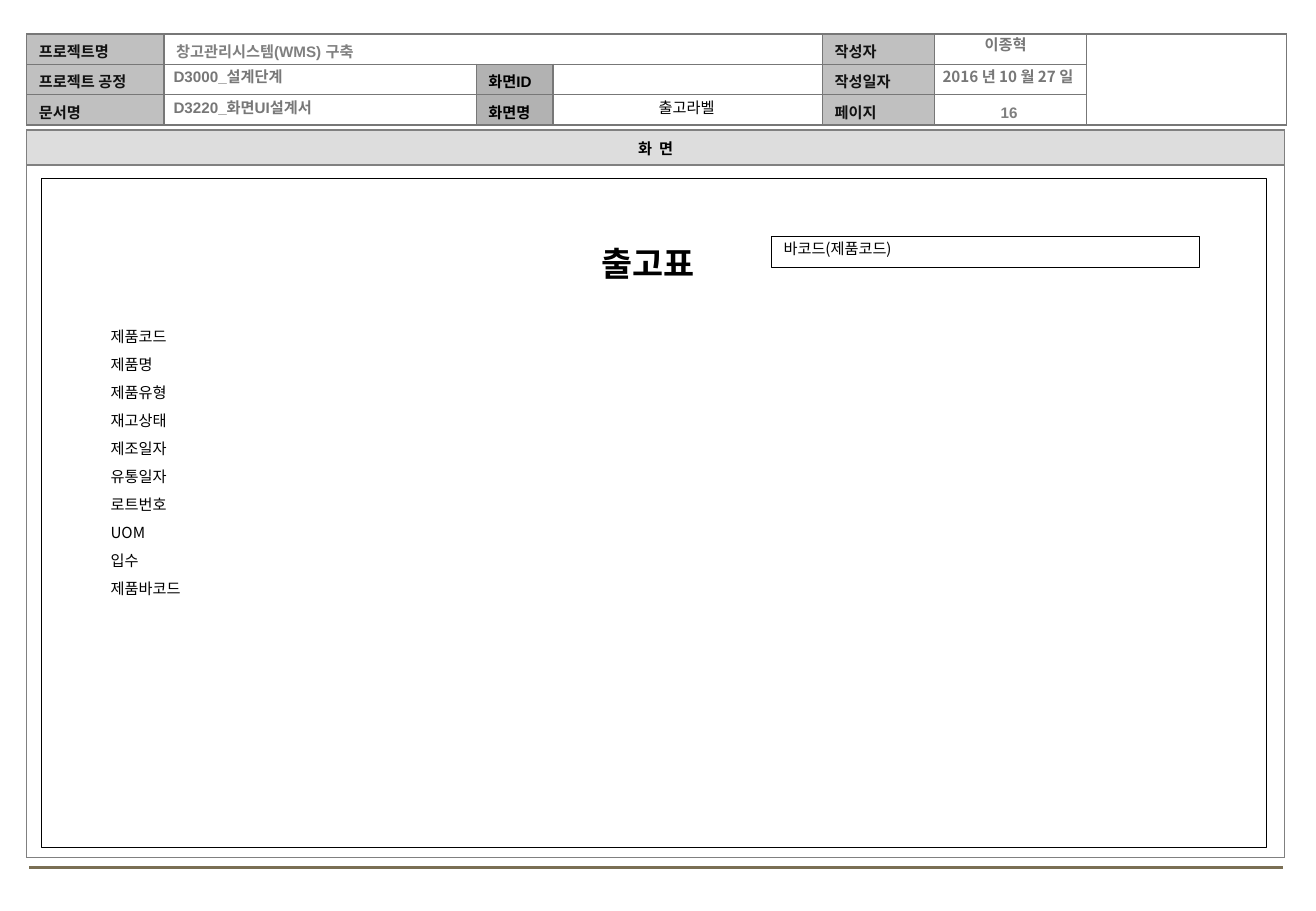
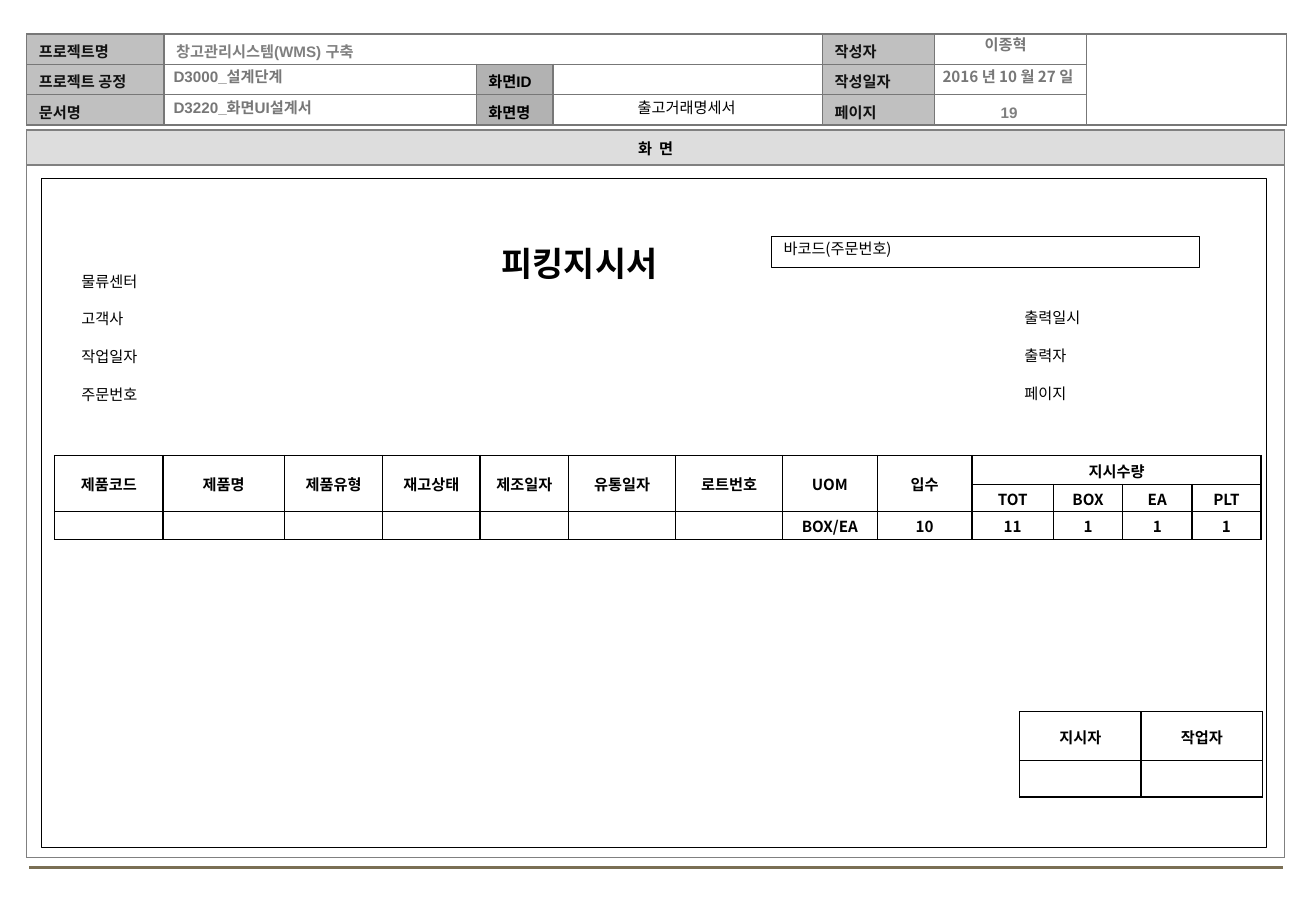
from dataclasses import dataclass

from lxml.etree import SubElement
from pptx import Presentation
from pptx.dml.color import RGBColor
from pptx.enum.shapes import MSO_CONNECTOR, MSO_SHAPE
from pptx.enum.text import MSO_ANCHOR, MSO_AUTO_SIZE, PP_ALIGN
from pptx.oxml import parse_xml
from pptx.oxml.ns import nsdecls, qn
from pptx.util import Inches, Pt


@dataclass(frozen=True)
class Theme:
    black: str = "000000"
    label: str = "111111"
    border: str = "777777"
    page: str = "7F7F7F"
    frame: str = "808080"
    label_fill: str = "C0C0C0"
    screen_fill: str = "B2B2B2"
    band_fill: str = "DDDDDD"
    rule: str = "7A6F54"
    korean: str = "Noto Sans CJK KR"
    header: str = "Arial"
    heading: str = "Calibri"
    text_size: float = 9
    heading_size: float = 20
    line_height: float = 13


THEME = Theme()
TWO_CONTENT, TITLE_AND_CONTENT = 3, 1


def write_text(frame, text, font=THEME.korean, size=THEME.text_size, color=THEME.black,
               bold=False, align=PP_ALIGN.LEFT, pitch=None):
    """Fill a text frame, one paragraph a line; pitch makes an unbulleted list."""
    for index, line in enumerate(text.split("\n")):
        paragraph = frame.paragraphs[0] if index == 0 else frame.add_paragraph()
        paragraph.alignment = align
        paragraph.space_before = Pt(0)
        if pitch:
            paragraph.line_spacing = Pt(THEME.line_height)
            paragraph.space_after = Pt(round(pitch * 72 - THEME.line_height, 1))
            properties = paragraph.alignment is not None and paragraph._p.get_or_add_pPr()
            properties.set("marL", "0")
            properties.set("indent", "0")
            SubElement(properties, qn("a:buNone"))
        if not line:
            SubElement(paragraph._p, qn("a:endParaRPr"), sz=str(int(size * 100)))
            continue
        run = paragraph.add_run()
        run.text = line
        run.font.name = font
        run.font.size = Pt(size)
        run.font.bold = bold
        run.font.color.rgb = RGBColor.from_string(color)
        SubElement(run._r.get_or_add_rPr(), qn("a:ea"), typeface=THEME.korean)


def set_borders(cell, color):
    properties = cell._tc.get_or_add_tcPr()
    for index, side in enumerate(("lnL", "lnR", "lnT", "lnB")):
        properties.insert(index, parse_xml(
            f'<a:{side} {nsdecls("a")} w="12700"><a:solidFill>'
            f'<a:srgbClr val="{color}"/></a:solidFill></a:{side}>'))


class Sheet:
    """Holds the theme and the current slide."""

    def __init__(self, presentation, theme=THEME):
        self.presentation = presentation
        self.theme = theme
        self.slide = None

    def start(self, layout, page, screen_name):
        layouts = self.presentation.slide_layouts
        self.slide = self.presentation.slides.add_slide(layouts[layout])
        self.header(page, screen_name)

    def prepare(self, shape, side=0.1, top=0.02):
        frame = shape.text_frame
        frame.word_wrap = True
        frame.auto_size = MSO_AUTO_SIZE.NONE
        frame.vertical_anchor = MSO_ANCHOR.TOP
        frame.margin_left = frame.margin_right = Inches(side)
        frame.margin_top, frame.margin_bottom = Inches(top), 0
        return frame

    def place(self, shape, left, top, width, height):
        shape.left, shape.top = Inches(left), Inches(top)
        shape.width, shape.height = Inches(width), Inches(height)

    def title(self, text, left, width):
        shape = self.slide.shapes.title
        self.place(shape, left, 2, width, 0.45)
        write_text(self.prepare(shape, side=0.02, top=0), text, bold=True,
                   font=self.theme.heading, size=self.theme.heading_size)

    def label_list(self, placeholder, labels, left, top, pitch):
        shape = self.slide.placeholders[placeholder]
        self.place(shape, left, top, 1.2, pitch * len(labels) + 0.05)
        write_text(self.prepare(shape), "\n".join(labels), pitch=pitch)

    def text(self, text, left, top, width, **style):
        shape = self.slide.shapes.add_textbox(
            Inches(left), Inches(top), Inches(width), Inches(0.25))
        write_text(self.prepare(shape), text, **style)

    def box(self, left, top, width, height, text=""):
        shape = self.slide.shapes.add_shape(
            MSO_SHAPE.RECTANGLE, Inches(left), Inches(top), Inches(width), Inches(height))
        shape.shadow.inherit = False
        shape.fill.background()
        shape.line.color.rgb = RGBColor.from_string(self.theme.black)
        shape.line.width = Pt(0.75)
        if text:
            write_text(self.prepare(shape), text)

    def line(self, left, top, right):
        connector = self.slide.shapes.add_connector(
            MSO_CONNECTOR.STRAIGHT, Inches(left), Inches(top), Inches(right), Inches(top))
        connector.line.color.rgb = RGBColor.from_string(self.theme.rule)
        connector.line.width = Pt(1.75)
        SubElement(connector._element.spPr, qn("a:effectLst"))

    def table(self, left, top, columns, rows, texts, merges=(), fills=None, border=THEME.black,
              margins=(0.01, 0.01), style=None):
        """texts is a list of rows; fills and style answer by (row, column)."""
        table = self.slide.shapes.add_table(
            len(rows), len(columns), Inches(left), Inches(top),
            Inches(sum(columns)), Inches(sum(rows))).table
        table.first_row = table.horz_banding = False
        for column, width in zip(table.columns, columns):
            column.width = Inches(width)
        for row, height in zip(table.rows, rows):
            row.height = Inches(height)
        for first, last in merges:
            table.cell(*first).merge(table.cell(*last))
        for r, row_texts in enumerate(texts):
            for c, text in enumerate(row_texts):
                cell = table.cell(r, c)
                cell.vertical_anchor = MSO_ANCHOR.MIDDLE
                cell.margin_left = cell.margin_right = Inches(margins[0])
                cell.margin_top, cell.margin_bottom = Inches(margins[1]), 0
                fill = (fills or {}).get((r, c))
                if fill:
                    cell.fill.solid()
                    cell.fill.fore_color.rgb = RGBColor.from_string(fill)
                else:
                    cell.fill.background()
                set_borders(cell, border)
                cell_style = {"bold": True, "align": PP_ALIGN.CENTER}
                cell_style.update(style(r, c) if style else {})
                write_text(cell.text_frame, text, **cell_style)

    def header(self, page, screen_name):
        theme = self.theme
        self.line(0.24, 7.14, 10.56)

        # Document information
        fills = {(r, c): theme.label_fill for r in range(3) for c in (0, 4)}
        fills.update({(r, 2): theme.screen_fill for r in (1, 2)})
        colors = {0: theme.label, 1: theme.frame, 4: theme.label}
        self.table(
            0.22, 0.28, (1.13, 2.57, 0.63, 2.22, 0.92, 1.25, 1.65), (0.25,) * 3,
            [["프로젝트명", "창고관리시스템(WMS) 구축", "", "", "작성자", "", ""],
             ["프로젝트 공정", "", "화면ID", "", "작성일자", "", ""],
             ["문서명", "", "화면명", "", "페이지", "", ""]],
            merges=[((0, 1), (0, 3)), ((0, 6), (2, 6))], fills=fills,
            border=theme.border, margins=(0.1, 0.03),
            style=lambda r, c: {"font": theme.header, "align": PP_ALIGN.LEFT,
                                "color": colors.get(c, theme.black)})
        stage = {"font": theme.header, "color": theme.border, "bold": True}
        self.text("D3000_설계단계", 1.33, 0.53, 2.5, **stage)
        self.text("D3220_화면UI설계서", 1.33, 0.79, 2.5, **stage)
        centred = {"align": PP_ALIGN.CENTER}
        author = {"color": theme.border, "bold": True, **centred}
        self.text("이종혁", 7.49, 0.27, 1.57, **author)
        self.text("2016 년 10 월 27 일", 7.51, 0.53, 1.57, **author)
        self.text(screen_name, 4.56, 0.79, 2.18, **centred)
        self.text(page, 7.68, 0.83, 1.25, font=theme.header, color=theme.page,
                  bold=True, **centred)

        # Screen area
        self.table(0.22, 1.07, (10.35,), (0.29, 5.7), [["화  면"], [""]],
                   fills={(0, 0): theme.band_fill}, border=theme.frame, margins=(0.02, 0),
                   style=lambda r, c: {"font": theme.header})
        self.box(0.34, 1.47, 10.08, 5.51)

    def barcode(self, content):
        self.box(6.35, 1.95, 3.52, 0.25, f"바코드({content})")


def main():
    presentation = Presentation()
    presentation.slide_width, presentation.slide_height = Inches(10.83), Inches(7.5)
    sheet = Sheet(presentation)
    product_fields = ["제품코드", "제품명", "제품유형", "재고상태", "제조일자",
                      "유통일자", "로트번호", "UOM", "입수"]

    # Shipping label
    sheet.start(TITLE_AND_CONTENT, "16", "출고라벨")
    sheet.title("출고표", 4.93, 1.2)
    sheet.barcode("제품코드")
    sheet.label_list(1, product_fields + ["제품바코드"], 0.81, 2.64, 0.23)

    # Picking order
    sheet.start(TWO_CONTENT, "19", "출고거래명세서")
    sheet.title("피킹지시서", 4.11, 1.8)
    sheet.barcode("주문번호")
    sheet.label_list(1, ["물류센터", "고객사", "작업일자", "주문번호"], 0.57, 2.19, 0.31)
    sheet.label_list(2, ["출력일시", "출력자", "페이지"], 8.33, 2.49, 0.31)
    quantity = len(product_fields)
    sheet.table(
        0.45, 3.75,
        (0.89, 1, 0.81, 0.8, 0.73, 0.88, 0.88, 0.78, 0.78, 0.67, 0.57, 0.57, 0.57),
        (0.24, 0.22, 0.23),
        [product_fields + ["지시수량", "", "", ""],
         [""] * quantity + ["TOT", "BOX", "EA", "PLT"],
         [""] * 7 + ["BOX/EA", "10", "11", "1", "1", "1"]],
        merges=[((0, c), (1, c)) for c in range(quantity)]
        + [((0, quantity), (0, quantity + 3))])
    sheet.table(8.39, 5.86, (1, 1), (0.4, 0.3), [["지시자", "작업자"], ["", ""]])

    presentation.save("out.pptx")


if __name__ == "__main__":
    main()
